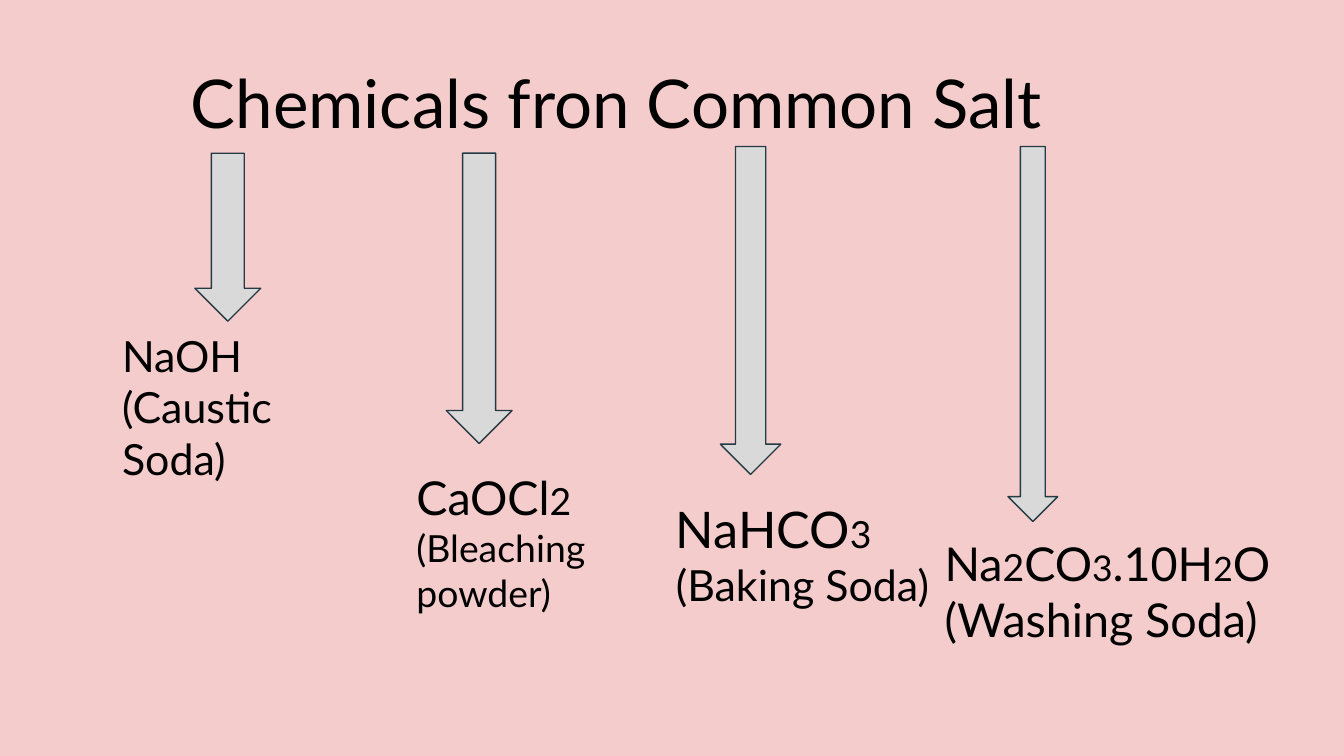
from pptx import Presentation
from pptx.dml.color import RGBColor
from pptx.enum.shapes import MSO_SHAPE as SHAPE
from pptx.enum.text import MSO_ANCHOR as ANCHOR, MSO_AUTO_SIZE as AUTO, PP_ALIGN as ALIGN
from pptx.util import Inches, Pt

BACKGROUND, ARROW_FILL, ARROW_LINE, INK = "F4CCCC", "D9D9D9", "233A44", "000000"

CHEMICALS = [
    ((1.45, 1.14, 0.49, 1.25), (0.81, 2.35, 2, 0.93),
     [[("NaOH", 23)], [("(Caustic Soda)", 23)]]),
    ((3.32, 1.14, 0.49, 2.16), (3, 3.39, 2.12, 0.86),
     [[("CaOCl", 25), ("2", 20)], [("(Bleaching powder)", 20)]]),
    ((5.36, 1.09, 0.45, 2.44), (4.93, 3.61, 2.12, 0.76),
     [[("NaHCO", 27), ("3", 20)], [("(Baking Soda)", 23)]]),
    ((7.5, 1.09, 0.37, 2.79), (6.93, 3.88, 2.79, 0.86),
     [[("Na", 25), ("2", 20), ("CO", 25), ("3", 19), (".10H", 25), ("2", 18), ("O", 25)],
      [("(Washing Soda)", 25)]]),
]


def rgb(value):
    return RGBColor.from_string(value)


def write_text(sp, lines, font="Lato", color=INK, margin=0.1, indent=0):
    tf = sp.text_frame
    tf.word_wrap = True
    tf.auto_size = AUTO.NONE
    tf.vertical_anchor = ANCHOR.TOP
    tf.margin_left = Inches(margin + indent)
    tf.margin_top = tf.margin_right = tf.margin_bottom = Inches(margin)
    for i, runs in enumerate(lines):
        p = tf.paragraphs[0] if i == 0 else tf.add_paragraph()
        p.alignment = ALIGN.LEFT
        for text, size in runs:
            r = p.add_run()
            r.text = text
            r.font.name = font
            r.font.size = Pt(size)
            r.font.color.rgb = rgb(color)


def place_title(s, box):
    sp = s.shapes.title
    sp.left, sp.top, sp.width, sp.height = map(Inches, box)
    write_text(sp, [[("Chemicals fron Common Salt", 36)]], indent=0.76)


def add_arrow(s, box):
    sp = s.shapes.add_shape(SHAPE.DOWN_ARROW, *map(Inches, box))
    sp.shadow.inherit = False
    sp.fill.solid()
    sp.fill.fore_color.rgb = rgb(ARROW_FILL)
    sp.line.color.rgb = rgb(ARROW_LINE)
    sp.line.width = Pt(0.75)


def add_label(s, box, lines):
    write_text(s.shapes.add_textbox(*map(Inches, box)), lines)


def main():
    prs = Presentation()
    prs.slide_width = Inches(10)
    prs.slide_height = prs.slide_width * 9 // 16
    s = prs.slides.add_slide(prs.slide_layouts[5])
    s.background.fill.solid()
    s.background.fill.fore_color.rgb = rgb(BACKGROUND)
    place_title(s, (0.56, 0.36, 8.01, 0.93))
    for arrow_box, label_box, lines in CHEMICALS:
        add_arrow(s, arrow_box)
        add_label(s, label_box, lines)
    prs.save("out.pptx")


if __name__ == "__main__":
    main()
